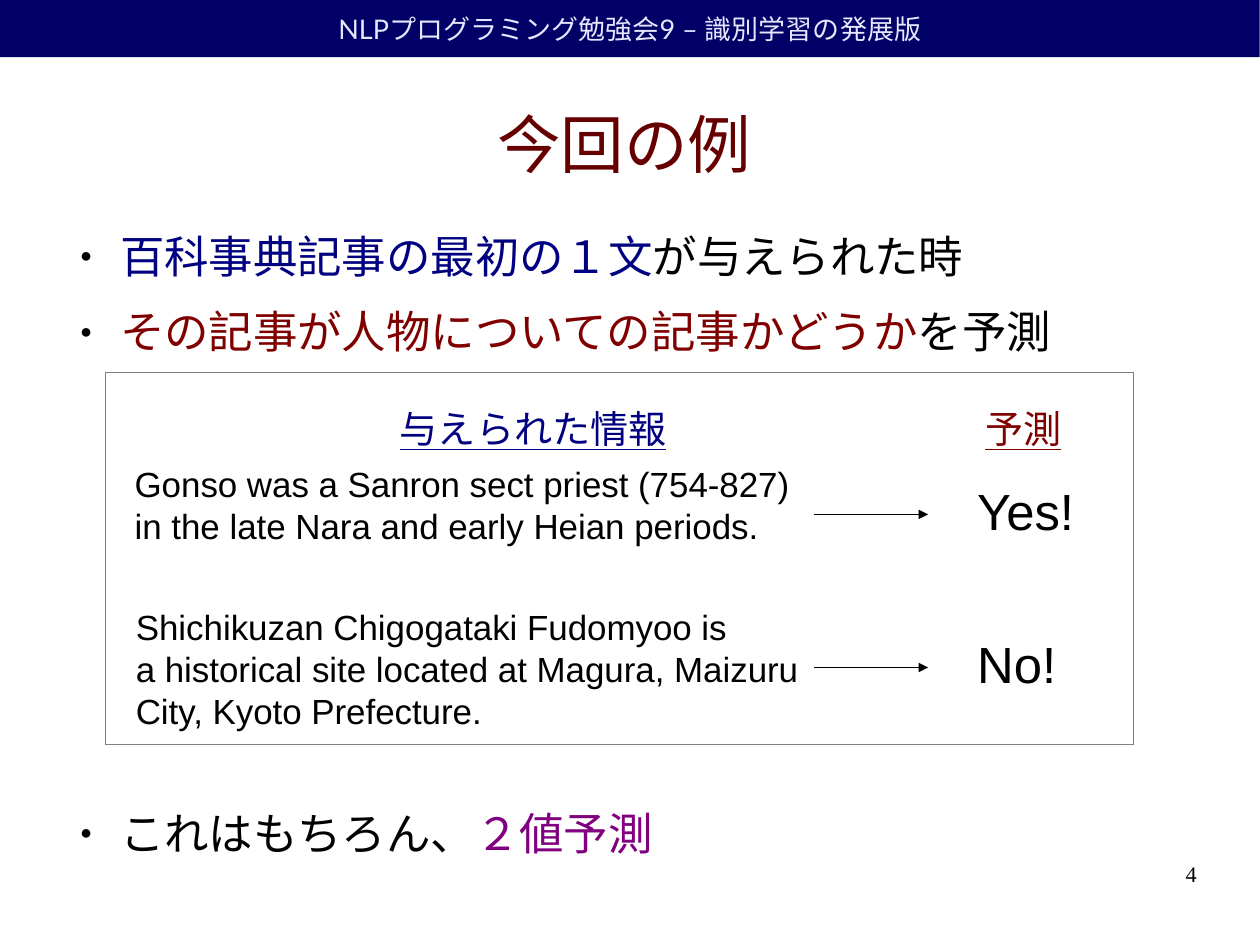
import dataclasses

import pptx
import pptx.dml.color
import pptx.enum.shapes
import pptx.enum.text
import pptx.oxml
import pptx.oxml.ns
import pptx.util

Inches = pptx.util.Inches
Pt = pptx.util.Pt
ALIGN = pptx.enum.text.PP_ALIGN
ANCHOR = pptx.enum.text.MSO_ANCHOR
NS = pptx.oxml.ns.nsdecls("a")


@dataclasses.dataclass(frozen=True)
class Theme:
    black: str = "000000"
    white: str = "FFFFFF"
    gray: str = "808080"
    navy: str = "000066"
    pale: str = "E6E6FF"
    blue: str = "000080"
    wine: str = "660000"
    red: str = "800000"
    purple: str = "800080"
    sans: str = "Arial"
    head: str = "Lato"
    serif: str = "Times New Roman"
    title: int = 40
    answer: int = 32
    body: int = 28
    label: int = 24
    sample: int = 22
    strip: int = 17
    page: int = 14


THEME = Theme()


def rgb(code):
    return pptx.dml.color.RGBColor.from_string(code)


def apply(target, values):
    for name, value in values.items():
        setattr(target, name, value)


def place(shape, box):
    names = ("left", "top", "width", "height")
    apply(shape, dict(zip(names, map(Inches, box))))


def setup(frame, pad=(0, 0), wrap=True, anchor=ANCHOR.TOP):
    """Set margins (side, top), wrapping and anchor of a text frame."""
    side, top = map(Inches, pad)
    apply(frame, {
        "margin_left": side, "margin_right": side,
        "margin_top": top, "margin_bottom": top,
        "word_wrap": wrap, "vertical_anchor": anchor,
        "auto_size": pptx.enum.text.MSO_AUTO_SIZE.NONE,
    })


def write(para, runs, size, face=THEME.sans, align=ALIGN.LEFT, line=False):
    """Fill a paragraph with (text, colour) runs; a newline breaks the line."""
    para.alignment = align
    for text, color in runs:
        for i, part in enumerate(text.split("\n")):
            if i:
                para.add_line_break()
            run = para.add_run()
            run.text = part
            apply(run.font, {"size": Pt(size), "name": face, "bold": False,
                             "underline": line})
            run.font.color.rgb = rgb(color)


def label(slide, box, lines, size, color=THEME.black, line=False):
    shape = slide.shapes.add_textbox(*map(Inches, box))
    frame = shape.text_frame
    setup(frame, (0.1, 0.05), wrap=False)
    for i, text in enumerate(lines):
        para = frame.add_paragraph() if i else frame.paragraphs[0]
        write(para, [(text, color)], size, line=line)


def rect(slide, box):
    shape = slide.shapes.add_shape(
        pptx.enum.shapes.MSO_SHAPE.RECTANGLE, *map(Inches, box))
    shape.shadow.inherit = False
    return shape


def hairline(line, color):
    """Give a line its colour and an explicit zero width."""
    line.color.rgb = rgb(color)
    outline = line._get_or_add_ln()
    outline.set("w", "0")
    return outline


def strip(slide, box, text):
    bar = rect(slide, box)
    bar.fill.solid()
    bar.fill.fore_color.rgb = rgb(THEME.navy)
    bar.line.fill.background()
    setup(bar.text_frame, (0.1, 0.05), anchor=ANCHOR.MIDDLE)
    write(bar.text_frame.paragraphs[0], [(text, THEME.pale)], THEME.strip,
          THEME.head, ALIGN.CENTER)


def title(slide, box, text):
    shape = slide.shapes.title
    place(shape, box)
    setup(shape.text_frame, anchor=ANCHOR.MIDDLE)
    write(shape.text_frame.paragraphs[0], [(text, THEME.wine)], THEME.title,
          align=ALIGN.CENTER)


def bullet(para):
    props = para._p.get_or_add_pPr()
    props.set("marL", str(Inches(0.47)))
    props.set("indent", str(Inches(-0.35)))
    for part in (f'<a:buClr {NS}><a:srgbClr val="{THEME.black}"/></a:buClr>',
                 f'<a:buSzPct {NS} val="45000"/>',
                 f'<a:buChar {NS} char="●"/>'):
        props.append(pptx.oxml.parse_xml(part))


def points(slide, box, items):
    """Fill the body with (space before, runs) items."""
    shape = slide.placeholders[1]
    place(shape, box)
    frame = shape.text_frame
    setup(frame)
    for i, (gap, runs) in enumerate(items):
        para = frame.add_paragraph() if i else frame.paragraphs[0]
        bullet(para)
        apply(para, {"space_before": Pt(gap), "space_after": Pt(14.2),
                     "line_spacing": 1.0})
        write(para, runs, THEME.body)


def arrow(slide, left, top, width):
    link = slide.shapes.add_connector(
        pptx.enum.shapes.MSO_CONNECTOR.STRAIGHT,
        *map(Inches, (left, top, left + width, top)))
    outline = hairline(link.line, THEME.black)
    outline.append(
        pptx.oxml.parse_xml(f'<a:tailEnd {NS} type="triangle"/>'))
    link._element.spPr.append(pptx.oxml.parse_xml(f"<a:effectLst {NS}/>"))


def sample(slide, box, axis, lines, answer, width):
    """Place a text in its box, with arrow and answer along the axis."""
    label(slide, box, lines, THEME.sample)
    arrow(slide, 7.12, axis, 1)
    label(slide, (8.45, axis - 0.35, width, 0.6), [answer], THEME.answer)


def panel(slide, box):
    left, top, _, _ = box
    frame = rect(slide, box)
    frame.fill.background()
    hairline(frame.line, THEME.gray)
    for dx, width, text, color in ((2.48, 2.53, "与えられた情報", THEME.blue),
                                   (7.6, 0.86, "予測", THEME.red)):
        label(slide, (left + dx, top + 0.24, width, 0.49), [text],
              THEME.label, color, line=True)
    sample(slide, (left + 0.16, top + 0.74, 5.94, 0.78), top + 1.24,
           ["Gonso was a Sanron sect priest (754-827)\n"
            "in the late Nara and early Heian periods."], "Yes!", 1.05)
    sample(slide, (left + 0.17, top + 1.99, 6.01, 1.12), top + 2.58,
           ["Shichikuzan Chigogataki Fudomyoo is",
            "a historical site located at Magura, Maizuru",
            "City, Kyoto Prefecture."], "No!", 0.89)


def page(slide, box, number):
    shape = slide.shapes.add_textbox(*map(Inches, box))
    setup(shape.text_frame)
    write(shape.text_frame.paragraphs[0], [(number, THEME.black)],
          THEME.page, THEME.serif, ALIGN.RIGHT)


def main():
    deck = pptx.Presentation()
    deck.slide_width = pptx.util.Cm(28)
    deck.slide_height = pptx.util.Cm(21)
    slide = deck.slides.add_slide(deck.slide_layouts[1])
    slide.background.fill.solid()
    slide.background.fill.fore_color.rgb = rgb(THEME.white)
    strip(slide, (0, 0, 11.02, 0.5), "NLPプログラミング勉強会9 – 識別学習の発展版")
    title(slide, (0.5, 0.62, 9.92, 1.27), "今回の例")
    points(slide, (0.58, 2, 9.92, 6.2), [
        (0, [("百科事典記事の最初の１文", THEME.blue),
             ("が与えられた時", THEME.black)]),
        (0, [("その記事が人物についての記事かどうか", THEME.red),
             ("を予測", THEME.black)]),
        (268, [("これはもちろん、", THEME.black), ("２値予測", THEME.purple)]),
    ])
    panel(slide, (0.92, 3.26, 9, 3.25))
    page(slide, (7.9, 7.53, 2.57, 0.57), "4")
    deck.save("out.pptx")


if __name__ == "__main__":
    main()
